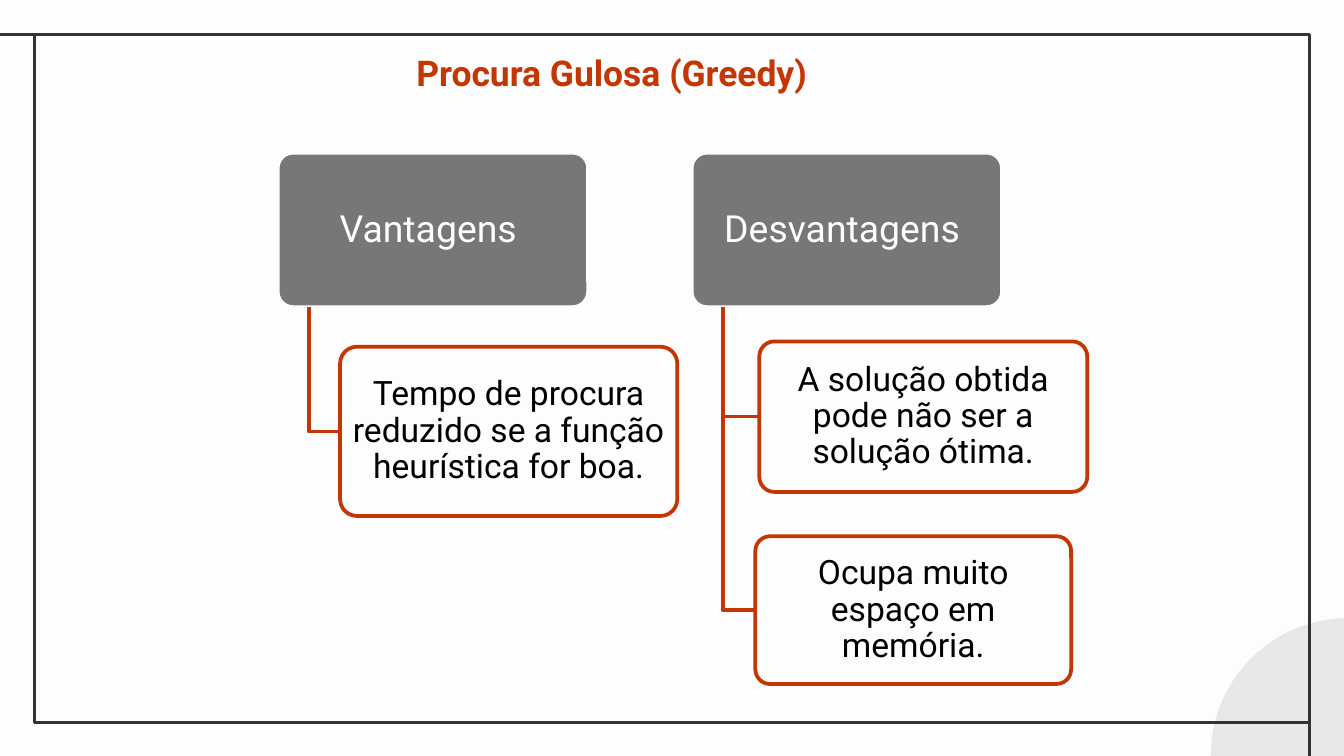
from lxml import etree
from pptx import Presentation, util as u
from pptx.dml.color import RGBColor
from pptx.enum import shapes, text
from pptx.oxml import ns

# Content: each branch has a heading box and its points (grid cells: x, y, w, h)
TITLE = ("Procura Gulosa (Greedy)", (30, 4, 41.3, 4))
BRANCHES = [
    {"head": "Vantagens ", "box": (20.66, 11.36, 23.1, 11.5), "points": [
        ("Tempo de procura reduzido se a função heurística for boa.",
         (25.3, 25.8, 25.1, 12.6))]},
    {"head": "Desvantagens ", "box": (51.46, 11.36, 23.1, 11.5), "points": [
        ("A solução obtida pode não ser a solução ótima.",
         (56.5, 25.4, 24.4, 11.2)),
        ("Ocupa muito espaço em memória.", (56.2, 39.9, 23.5, 11))]},
]
COLS = 100
ROWS = COLS * 9 / 16
FRAME = (2.54, 2.54, 94.9, 51.2)
CIRCLE = (90.1, 46, 20.4, 20.4)
STEM = 0.1  # share of the heading's width where its stem starts

THEME = {
    "font": "Roboto", "paper": "FDFDFD", "accent": "C43604", "head": "777777",
    "frame": "333333", "circle": "E8E7E7", "ink": "000000",
    "title_pt": 19, "head_pt": 20, "point_pt": 18,
    "frame_line": 1.5, "box_line": 2, "corner": 0.1,
}

prs = Presentation()
prs.slide_width = u.Inches(10)
CELL = prs.slide_width / COLS
prs.slide_height = round(ROWS * CELL)
s = prs.slides.add_slide(prs.slide_layouts[6])


def grid(*cells):
    return [round(c * CELL) for c in cells]


def color(name):
    return RGBColor.from_string(THEME[name])


def style(sp, fill=None, line=None, width="box_line"):
    sp.shadow.inherit = False
    if fill:
        sp.fill.solid()
        sp.fill.fore_color.rgb = color(fill)
    else:
        sp.fill.background()
    if line:
        sp.line.color.rgb = color(line)
        sp.line.width = u.Pt(THEME[width])
    else:
        sp.line.fill.background()
    return sp


def write(sp, words, size, ink, insets, spacing, anchor, align, bold=False):
    tf = sp.text_frame
    dx, dy = (u.Inches(i) for i in insets)
    frame_format = {"word_wrap": True, "vertical_anchor": anchor,
                    "margin_left": dx, "margin_right": dx,
                    "margin_top": dy, "margin_bottom": dy}
    for name, value in frame_format.items():
        setattr(tf, name, value)
    p = tf.paragraphs[0]
    p.alignment, p.line_spacing = align, spacing
    r = p.add_run()
    r.text = words
    font_format = {"name": THEME["font"], "size": u.Pt(THEME[size]), "bold": bold}
    for name, value in font_format.items():
        setattr(r.font, name, value)
    r.font.color.rgb = color(ink)


def box(words, cells, fill, line, size, ink):
    sp = s.shapes.add_shape(shapes.MSO_SHAPE.ROUNDED_RECTANGLE, *grid(*cells))
    sp.adjustments[0] = THEME["corner"]
    style(sp, fill, line)
    write(sp, words, size, ink, (0.04, 0.03), 0.9,
          text.MSO_ANCHOR.MIDDLE, text.PP_ALIGN.CENTER)


def elbow(parent, child):
    px, py, pw, ph = parent
    cx, cy, cw, ch = child
    x, mid = px + STEM * pw, cy + ch / 2
    path = s.shapes.build_freeform(*grid(x, py + ph))
    path.add_line_segments([grid(x, mid), grid(cx, mid)], close=False)
    style(path.convert_to_shape(), line="accent")


# Background, corner circle and frame
s.background.fill.solid()
s.background.fill.fore_color.rgb = color("paper")
style(s.shapes.add_shape(shapes.MSO_SHAPE.OVAL, *grid(*CIRCLE)), "circle")
style(s.shapes.add_shape(shapes.MSO_SHAPE.RECTANGLE, *grid(*FRAME)),
      line="frame", width="frame_line")

# Frame lines running on to the slide's edges
fx, fy, fw, fh = FRAME
for ends in [(fx, fy, 0, fy), (fx + fw, ROWS, fx + fw, fy + fh)]:
    c = s.shapes.add_connector(shapes.MSO_CONNECTOR.STRAIGHT, *grid(*ends))
    c.line.color.rgb = color("frame")
    c.line.width = u.Pt(THEME["frame_line"])
    etree.SubElement(c._element.spPr, ns.qn("a:effectLst"))

# Title
words, cells = TITLE
write(s.shapes.add_textbox(*grid(*cells)), words, "title_pt", "accent",
      (0.1, 0.1), 1.15, text.MSO_ANCHOR.BOTTOM, text.PP_ALIGN.LEFT, bold=True)

# Branches
for branch in BRANCHES:
    box(branch["head"], branch["box"], "head", "paper", "head_pt", "paper")
    for words, cells in branch["points"]:
        elbow(branch["box"], cells)
        box(words, cells, "paper", "accent", "point_pt", "ink")

prs.save("out.pptx")
